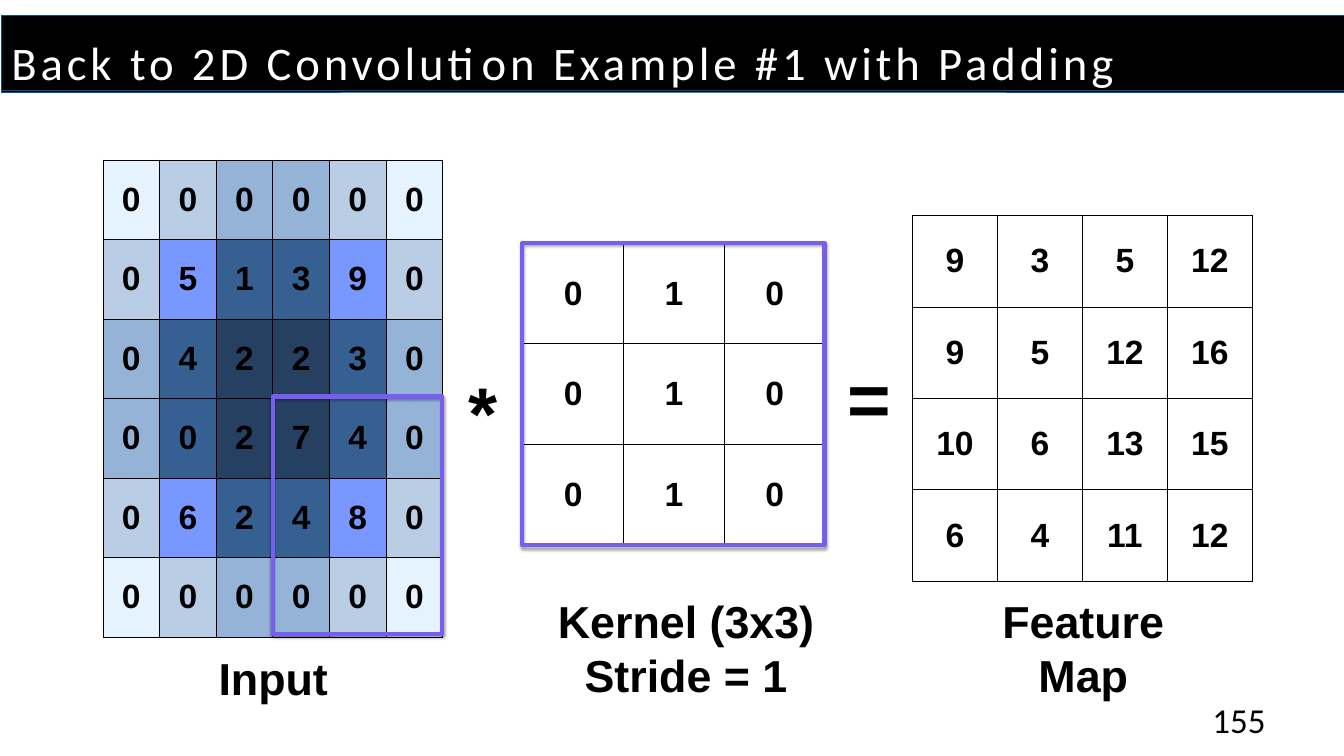
from dataclasses import dataclass
from typing import Optional

from lxml.etree import SubElement
from pptx import Presentation
from pptx.dml.color import RGBColor
from pptx.enum.shapes import MSO_SHAPE
from pptx.enum.text import MSO_ANCHOR, MSO_AUTO_SIZE, PP_ALIGN
from pptx.oxml import parse_xml
from pptx.oxml.ns import nsdecls, qn
from pptx.util import Cm, Pt


@dataclass(frozen=True)
class Theme:
    heading_font: str = "Calibri"
    body_font: str = "Arial"
    title_size: float = 50
    label_size: float = 48
    operator_size: float = 80
    cell_size: float = 36
    number_size: float = 37.5
    black: str = "000000"
    white: str = "FFFFFF"
    bar_line: str = "0B4F8E"
    window: str = "785EF0"


@dataclass(frozen=True)
class Box:
    left: float
    top: float
    width: float
    height: float

    def lengths(self) -> tuple:
        return Cm(self.left), Cm(self.top), Cm(self.width), Cm(self.height)


@dataclass(frozen=True)
class Matrix:
    box: Box
    rows: tuple
    shaded: bool = False


@dataclass(frozen=True)
class Label:
    text: str
    box: Box
    size: float
    font: str
    bold: bool = True
    wrap: bool = False
    fill: Optional[str] = None


THEME = Theme()

# Shade by distance from the nearest horizontal and vertical edge
EDGE_SHADES = (
    ("E5F3FF", "B9CDE5", "95B3D7"),
    ("B9CDE5", "7898FF", "376092"),
    ("95B3D7", "376092", "254061"),
)

MATRICES = (
    Matrix(Box(3.89, 6.05, 12.85, 18.03), (
        (0, 0, 0, 0, 0, 0),
        (0, 5, 1, 3, 9, 0),
        (0, 4, 2, 2, 3, 0),
        (0, 0, 2, 7, 4, 0),
        (0, 6, 2, 4, 8, 0),
        (0, 0, 0, 0, 0, 0),
    ), shaded=True),
    Matrix(Box(19.76, 9.19, 11.43, 11.43), ((0, 1, 0),) * 3),
    Matrix(Box(34.49, 8.15, 12.85, 13.82), (
        (9, 3, 5, 12),
        (9, 5, 12, 16),
        (10, 6, 13, 15),
        (6, 4, 11, 12),
    )),
)

LABELS = (
    Label("Input", Box(7.98, 24.49, 4.7, 2.31), THEME.label_size, THEME.body_font),
    Label("Kernel (3x3)\nStride = 1", Box(20.78, 22.33, 10.31, 4.37),
          THEME.label_size, THEME.body_font, fill=THEME.white),
    Label("*", Box(17.45, 13.69, 1.63, 3.68), THEME.operator_size, THEME.body_font),
    Label("=", Box(31.78, 13.18, 2.18, 3.68), THEME.operator_size, THEME.body_font),
    Label("Feature\vMap", Box(37.59, 22.33, 6.71, 4.37),
          THEME.label_size, THEME.body_font),
    Label("155", Box(44.86, 26.29, 3.94, 1.65), THEME.number_size,
          THEME.heading_font, bold=False, wrap=True, fill=THEME.white),
)

WINDOWS = (Box(10.31, 14.99, 6.4, 8.99), Box(19.74, 9.19, 11.43, 11.43))
TITLE_BARS = (Box(0.05, 0.58, 50.8, 2.9), Box(0.05, 0.58, 50.8, 2.82))


def set_attributes(target, values: dict) -> None:
    for name, value in values.items():
        setattr(target, name, value)


def format_font(font, name: str, size: float, color: str, bold: bool) -> None:
    set_attributes(font, {"name": name, "size": Pt(size), "bold": bold})
    font.color.rgb = RGBColor.from_string(color)


def set_fill(fill, color: Optional[str]) -> None:
    if color:
        fill.solid()
        fill.fore_color.rgb = RGBColor.from_string(color)
    else:
        fill.background()


def add_cell_borders(cell) -> None:
    properties = cell._tc.get_or_add_tcPr()
    for side in ("lnL", "lnR", "lnT", "lnB"):
        line = SubElement(properties, qn(f"a:{side}"), w=str(Pt(1)))
        solid = SubElement(line, qn("a:solidFill"))
        SubElement(solid, qn("a:srgbClr"), val=THEME.black)


def edge_shade(row: int, column: int, count: int) -> str:
    last = count - 1
    return EDGE_SHADES[min(row, last - row)][min(column, last - column)]


def add_matrix(slide, matrix: Matrix) -> None:
    count = len(matrix.rows)
    table = slide.shapes.add_table(count, count, *matrix.box.lengths()).table
    set_attributes(table, {"first_row": False, "horz_banding": False})
    cell_format = {
        "vertical_anchor": MSO_ANCHOR.MIDDLE,
        "margin_left": Cm(0.51), "margin_right": Cm(0.51),
        "margin_top": Cm(0.25), "margin_bottom": Cm(0.25),
    }
    for row, values in enumerate(matrix.rows):
        for column, value in enumerate(values):
            cell = table.cell(row, column)
            set_attributes(cell, cell_format)
            add_cell_borders(cell)
            set_fill(cell.fill, edge_shade(row, column, count) if matrix.shaded else None)
            cell.text = str(value)
            paragraph = cell.text_frame.paragraphs[0]
            paragraph.alignment = PP_ALIGN.CENTER
            format_font(paragraph.runs[0].font, THEME.body_font, THEME.cell_size,
                        THEME.black, True)


def add_label(slide, label: Label) -> None:
    shape = slide.shapes.add_textbox(*label.box.lengths())
    set_fill(shape.fill, label.fill)
    frame = shape.text_frame
    frame.text = label.text
    frame.word_wrap = label.wrap
    if not label.wrap:
        frame.auto_size = MSO_AUTO_SIZE.SHAPE_TO_FIT_TEXT
    for paragraph in frame.paragraphs:
        paragraph.alignment = PP_ALIGN.CENTER
        for run in paragraph.runs:
            format_font(run.font, label.font, label.size, THEME.black, label.bold)


def add_rectangle(slide, box: Box, fill: Optional[str], line: str, width: float):
    shape = slide.shapes.add_shape(MSO_SHAPE.RECTANGLE, *box.lengths())
    shape.shadow.inherit = False
    set_fill(shape.fill, fill)
    shape.line.color.rgb = RGBColor.from_string(line)
    shape.line.width = Pt(width)
    return shape


def add_window(slide, box: Box) -> None:
    """Outline a kernel-sized area, with a soft shadow below it."""
    shape = add_rectangle(slide, box, None, THEME.window, 4.5)
    effects = shape._element.spPr.find(qn("a:effectLst"))
    effects.append(parse_xml(
        f'<a:outerShdw {nsdecls("a")} blurRad="{Pt(3.1)}" dist="{Pt(1.8)}" '
        f'dir="5400000" rotWithShape="0"><a:srgbClr val="{THEME.black}">'
        '<a:alpha val="35000"/></a:srgbClr></a:outerShdw>'))


def add_title(slide, text: str) -> None:
    for bar in TITLE_BARS:
        add_rectangle(slide, bar, THEME.black, THEME.bar_line, 0.75)
    title = slide.shapes.title
    slide.shapes._spTree.append(title._element)  # in front of the bars
    box = Box(0.43, 0.74, 46.36, 2.36)
    set_attributes(title, dict(zip(("left", "top", "width", "height"), box.lengths())))
    frame = title.text_frame
    frame.text = text
    margins = dict.fromkeys(
        ("margin_left", "margin_right", "margin_top", "margin_bottom"), 0)
    set_attributes(frame, {**margins, "vertical_anchor": MSO_ANCHOR.TOP,
                           "word_wrap": True, "auto_size": MSO_AUTO_SIZE.NONE})
    paragraph = frame.paragraphs[0]
    set_attributes(paragraph, {"alignment": PP_ALIGN.LEFT, "line_spacing": Pt(74.8),
                               "space_before": Pt(0)})
    run = paragraph.runs[0]
    format_font(run.font, THEME.heading_font, THEME.title_size, THEME.white, False)
    run._r.get_or_add_rPr().set("spc", "420")


def main() -> None:
    presentation = Presentation()
    set_attributes(presentation, {"slide_width": Cm(50.8), "slide_height": Cm(28.58)})
    slide = presentation.slides.add_slide(presentation.slide_layouts[5])
    for matrix in MATRICES:
        add_matrix(slide, matrix)
    for label in LABELS:
        add_label(slide, label)
    for window in WINDOWS:
        add_window(slide, window)
    add_title(slide, "Back to 2D Convolution Example #1 with Padding")
    presentation.save("out.pptx")


if __name__ == "__main__":
    main()
